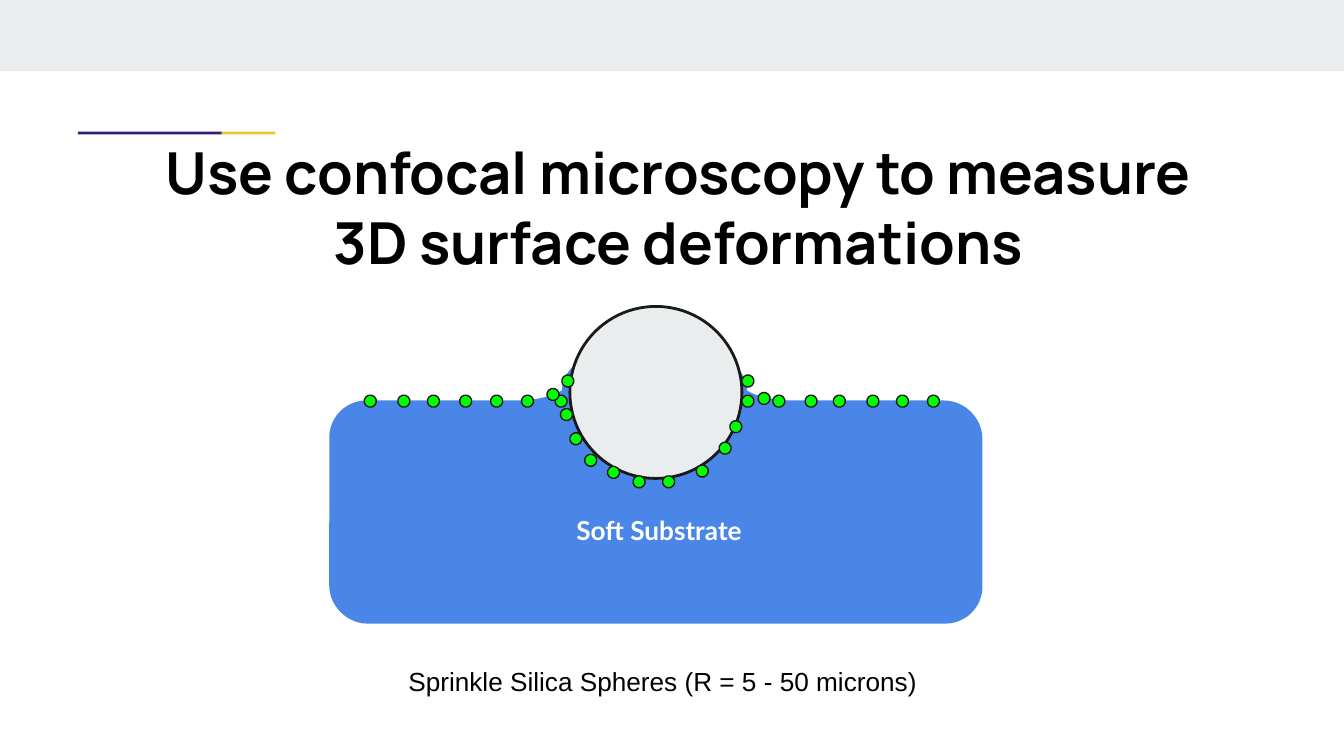
from lxml import etree
from pptx import Presentation
from pptx.dml.color import RGBColor
from pptx.enum.shapes import MSO_CONNECTOR, MSO_SHAPE
from pptx.enum.text import MSO_ANCHOR, MSO_AUTO_SIZE, PP_ALIGN
from pptx.oxml.ns import qn
from pptx.util import Inches, Pt

BLACK = RGBColor(0x00, 0x00, 0x00)
WHITE = RGBColor(0xFF, 0xFF, 0xFF)
PALE = RGBColor(0xE9, 0xED, 0xEE)
PURPLE = RGBColor(0x35, 0x1C, 0x75)
YELLOW = RGBColor(0xF1, 0xC2, 0x32)
BLUE = RGBColor(0x4A, 0x86, 0xE8)
GREEN = RGBColor(0x00, 0xFF, 0x00)
OUTLINE = RGBColor(0x1A, 0x1A, 0x1A)

prs = Presentation()
prs.slide_width = Inches(10)
prs.slide_height = Inches(10) * 9 // 16
s = prs.slides.add_slide(prs.slide_layouts[5])


def add_shape(kind, x, y, w, h, fill, line_width=None):
    sp = s.shapes.add_shape(kind, Inches(x), Inches(y), Inches(w), Inches(h))
    sp.shadow.inherit = False
    sp.fill.solid()
    sp.fill.fore_color.rgb = fill
    if line_width is None:
        sp.line.fill.background()
    else:
        sp.line.color.rgb = OUTLINE
        sp.line.width = Pt(line_width)
    return sp


def set_text(sp, text, size, font, color, bold, inset):
    tf = sp.text_frame
    tf.word_wrap = True
    tf.auto_size = MSO_AUTO_SIZE.NONE
    tf.margin_left = tf.margin_right = Inches(inset)
    tf.margin_top = tf.margin_bottom = Inches(inset)
    p = tf.paragraphs[0]
    p.text = text
    p.font.size = Pt(size)
    p.font.name = font
    p.font.bold = bold
    p.font.color.rgb = color
    return tf


add_shape(MSO_SHAPE.RECTANGLE, 0, 0, 10, 0.53, PALE)
add_shape(MSO_SHAPE.RECTANGLE, 1.65, 0.98, 0.4, 0.02, YELLOW)
add_shape(MSO_SHAPE.RECTANGLE, 0.58, 0.98, 1.07, 0.02, PURPLE)

title = s.shapes.title
title.left, title.top = Inches(0.91), Inches(1.08)
title.width, title.height = Inches(8.27), Inches(0.91)
tf = set_text(title, "Use confocal microscopy to measure 3D surface deformations",
              31, "Manrope", BLACK, True, 0.04)
tf.vertical_anchor = MSO_ANCHOR.MIDDLE
tf.paragraphs[0].alignment = PP_ALIGN.CENTER

for x, y in [(2.45, 2.98), (2.46, 2.99)]:
    substrate = add_shape(MSO_SHAPE.ROUNDED_RECTANGLE, x, y, 4.85, 1.65, BLUE)
    substrate.adjustments[0] = 0.167

for x_flat, x_contact in [(5.95, 5.39), (3.79, 4.35)]:
    ridge = s.shapes.add_connector(MSO_CONNECTOR.CURVE, Inches(x_flat), Inches(3.07),
                                   Inches(x_contact), Inches(2.78))
    ridge.line.color.rgb = BLUE
    ridge.line.width = Pt(12)
    sp_pr = ridge.element.spPr
    etree.SubElement(sp_pr, qn("a:effectLst"))
    guides = sp_pr.find(qn("a:prstGeom")).find(qn("a:avLst"))
    etree.SubElement(guides, qn("a:gd"), name="adj1", fmla="val 84500")

add_shape(MSO_SHAPE.OVAL, 4.24, 2.28, 1.28, 1.28, PALE, 1.5)

flat_xs = [2.71, 2.96, 3.18, 3.42, 3.65, 3.88, 4.13,
           5.52, 5.75, 5.99, 6.2, 6.45, 6.67, 6.9]
contact_beads = [(4.07, 2.89), (4.18, 2.79), (4.17, 3.04), (4.24, 3.22),
                 (4.35, 3.38), (4.52, 3.47), (4.71, 3.54), (4.93, 3.54),
                 (5.18, 3.46), (5.35, 3.29), (5.43, 3.13), (5.52, 2.79),
                 (5.64, 2.92)]
for x, y in [(x, 2.94) for x in flat_xs] + contact_beads:
    bead = add_shape(MSO_SHAPE.OVAL, x, y, 0.09, 0.09, GREEN, 0.75)
    bead.rotation = 315

for x, y, w, h, text, font, color, bold in [
    (4.19, 3.73, 1.7, 0.33, "Soft Substrate", "Lato", WHITE, True),
    (2.94, 4.85, 4.26, 0.31, "Sprinkle Silica Spheres (R = 5 - 50 microns)",
     "Arial", BLACK, False),
]:
    label = s.shapes.add_textbox(Inches(x), Inches(y), Inches(w), Inches(h))
    set_text(label, text, 14, font, color, bold, 0.1)

prs.save("out.pptx")
